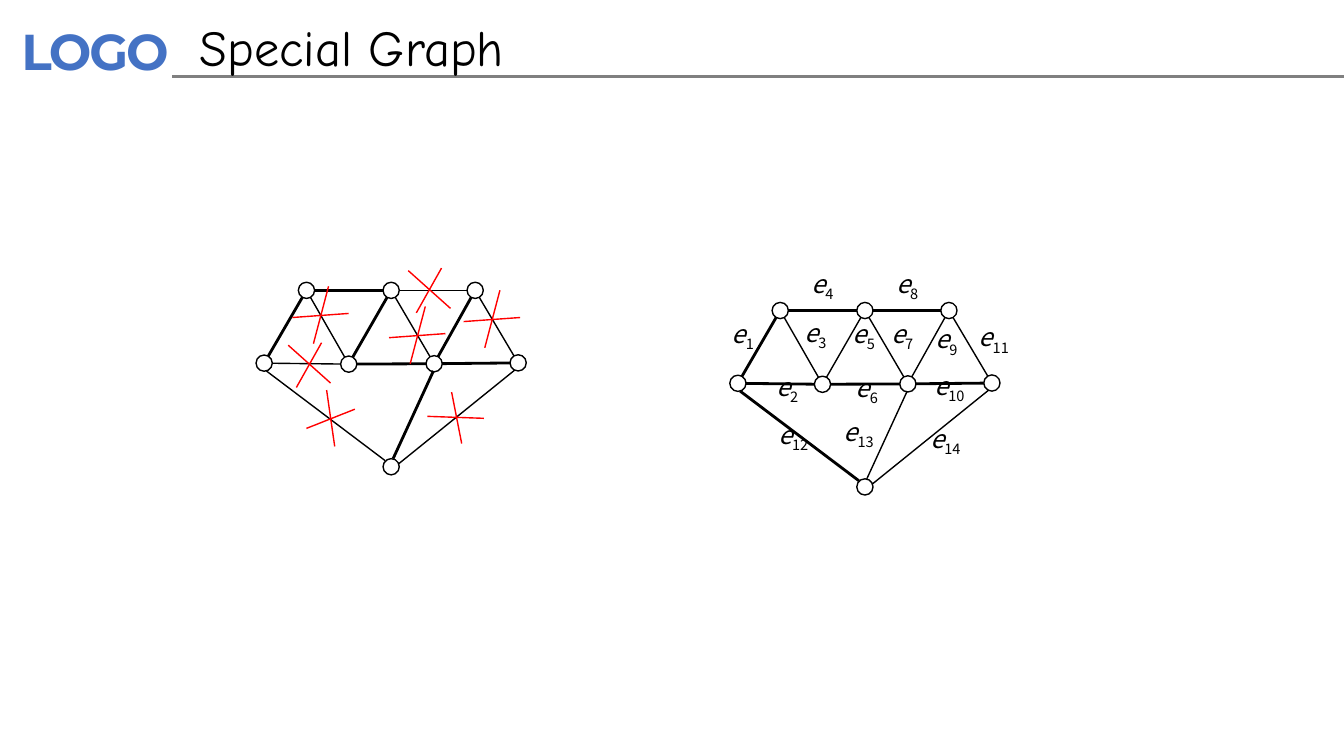
from math import hypot

from lxml.etree import SubElement
from pptx import Presentation
from pptx.dml.color import RGBColor
from pptx.enum.shapes import MSO_CONNECTOR as CONNECTOR, MSO_SHAPE as SHAPE
from pptx.enum.text import MSO_ANCHOR as ANCHOR, PP_ALIGN as ALIGN
from pptx.oxml.ns import qn
from pptx.util import Pt

BLACK, RED, GREY, BLUE = "000000", "FF0000", "808080", "4472C4"
RADIUS = 5.8
THIN, BOLD = 1, 2

# Node centres, measured from the top left corner of a graph
NODES = {
    "top1": (36, 5.8), "top2": (96.5, 5.8), "top3": (156.5, 5.8),
    "mid1": (5.8, 57.8), "mid2": (66.2, 58.5),
    "mid3": (127.2, 58.2), "mid4": (187.2, 57.6),
    "bottom": (96.5, 131.8),
}
# Edges e1 to e14, in order
EDGES = [
    ("mid1", "top1"), ("mid1", "mid2"), ("top1", "mid2"), ("top1", "top2"),
    ("mid2", "top2"), ("mid2", "mid3"), ("top2", "mid3"), ("top2", "top3"),
    ("mid3", "top3"), ("mid3", "mid4"), ("top3", "mid4"),
    ("mid1", "bottom"), ("mid3", "bottom"), ("mid4", "bottom"),
]
# The long edges to the bottom node leave the circles off centre
LONG_EDGES = {
    ("mid1", "bottom"): ((7.4, 63.4), (92.2, 127.4)),
    ("mid3", "bottom"): ((126.7, 63.4), (97.9, 126)),
    ("mid4", "bottom"): ((185, 62.6), (101.5, 130)),
}
LEFT_ORIGIN, LEFT_BOLD = (182.9, 201.6), {1, 4, 5, 6, 9, 10, 13}
RIGHT_ORIGIN, RIGHT_BOLD = (521.3, 216), {1, 2, 4, 6, 8, 10, 12}

LABELS = [
    (515.5, 227.5), (547.2, 265), (567.4, 226.8), (572.4, 191.5),
    (601.9, 227.5), (604.1, 265.7), (629.3, 227.5), (632.9, 191.5),
    (661, 231.1), (663.1, 264.2), (694.8, 229.7), (551.5, 299.5),
    (598.3, 297.4), (660.2, 302.4),
]
# Each cross: its two strokes, then the corners where it is placed
CROSSES = [
    ([((25.9, 0), (15.1, 41)), ((40.3, 19.4), (0, 22.3))],
     [(208.8, 204.5), (277.9, 218.9), (331.2, 207.4)]),
    ([((0, 1.8), (30.2, 28.8)), ((23.8, 0), (5.8, 32))],
     [(205.9, 244.8), (291.6, 191.5)]),
    ([((14.4, 0), (20.2, 40.3)), ((34.6, 13.7), (0, 27.4))],
     [(218.9, 278.6)]),
    ([((0, 17.3), (40.3, 18.7)), ((17.3, 0), (24.5, 36.7))],
     [(305.3, 280.1)]),
]


def color(value):
    return RGBColor.from_string(value)


def shift(point, origin):
    return point[0] + origin[0], point[1] + origin[1]


def add_line(page, start, end, line_color, width):
    line = page.shapes.add_connector(CONNECTOR.STRAIGHT, *map(Pt, start + end))
    line.line.color.rgb = color(line_color)
    line.line.width = Pt(width)
    SubElement(line._element.spPr, qn("a:effectLst"))


def add_node(page, center):
    x, y = center
    node = page.shapes.add_shape(SHAPE.OVAL, Pt(x - RADIUS), Pt(y - RADIUS),
                                 Pt(2 * RADIUS), Pt(2 * RADIUS))
    node.shadow.inherit = False
    node.fill.background()
    node.line.color.rgb = color(BLACK)
    node.line.width = Pt(THIN)


def add_box(page, left, top, width, height, inset_x=0, inset_y=0):
    box = page.shapes.add_textbox(Pt(left), Pt(top), Pt(width), Pt(height))
    frame = box.text_frame
    frame.word_wrap = True
    frame.margin_left = frame.margin_right = Pt(inset_x)
    frame.margin_top = frame.margin_bottom = Pt(inset_y)
    return frame


def add_span(para, text, size, font_name, font_color=BLACK):
    span = para.add_run()
    span.text = text
    span.font.size = Pt(size)
    span.font.name = font_name
    span.font.color.rgb = color(font_color)
    return span


def edge_ends(edge):
    """Return where an edge meets the circles of its two nodes."""
    if edge in LONG_EDGES:
        return LONG_EDGES[edge]
    (x1, y1), (x2, y2) = (NODES[name] for name in edge)
    part = RADIUS / hypot(x2 - x1, y2 - y1)
    dx, dy = (x2 - x1) * part, (y2 - y1) * part
    return (x1 + dx, y1 + dy), (x2 - dx, y2 - dy)


def add_graph(page, origin, bold_edges):
    for center in NODES.values():
        add_node(page, shift(center, origin))
    for number, edge in enumerate(EDGES, 1):
        start, end = edge_ends(edge)
        add_line(page, shift(start, origin), shift(end, origin), BLACK,
                 BOLD if number in bold_edges else THIN)


def add_edge_label(page, number, left, top):
    para = add_box(page, left, top, 30.2, 28.8).paragraphs[0]
    para.alignment = ALIGN.CENTER
    add_span(para, "e", 18, "Noto Sans CJK SC").font.italic = True
    index = add_span(para, str(number), 18, "Noto Sans CJK SC")
    index.font._element.set("baseline", "-25000")


def add_header(page):
    logo = add_box(page, 5.8, 9.4, 133.9, 53.3, 9.4, 5)
    span = add_span(logo.paragraphs[0], "LOGO", 36, "Montserrat", BLUE)
    span.font.bold = True
    span.font._element.set("spc", "-150")
    add_line(page, (123.1, 54.7), (960, 54.7), GREY, 2)
    title = add_box(page, 135.4, 7.2, 620.6, 51.1, 7.2, 3.6)
    title.vertical_anchor = ANCHOR.MIDDLE
    add_span(title.paragraphs[0], "Special Graph", 36, "Comic Neue")


def main():
    deck = Presentation()
    deck.slide_width, deck.slide_height = Pt(960), Pt(540)
    page = deck.slides.add_slide(deck.slide_layouts[6])
    add_header(page)
    add_graph(page, LEFT_ORIGIN, LEFT_BOLD)
    for strokes, corners in CROSSES:
        for corner in corners:
            for start, end in strokes:
                add_line(page, shift(start, corner), shift(end, corner), RED, 1)
    add_graph(page, RIGHT_ORIGIN, RIGHT_BOLD)
    for number, (left, top) in enumerate(LABELS, 1):
        add_edge_label(page, number, left, top)
    deck.save("out.pptx")


if __name__ == "__main__":
    main()
